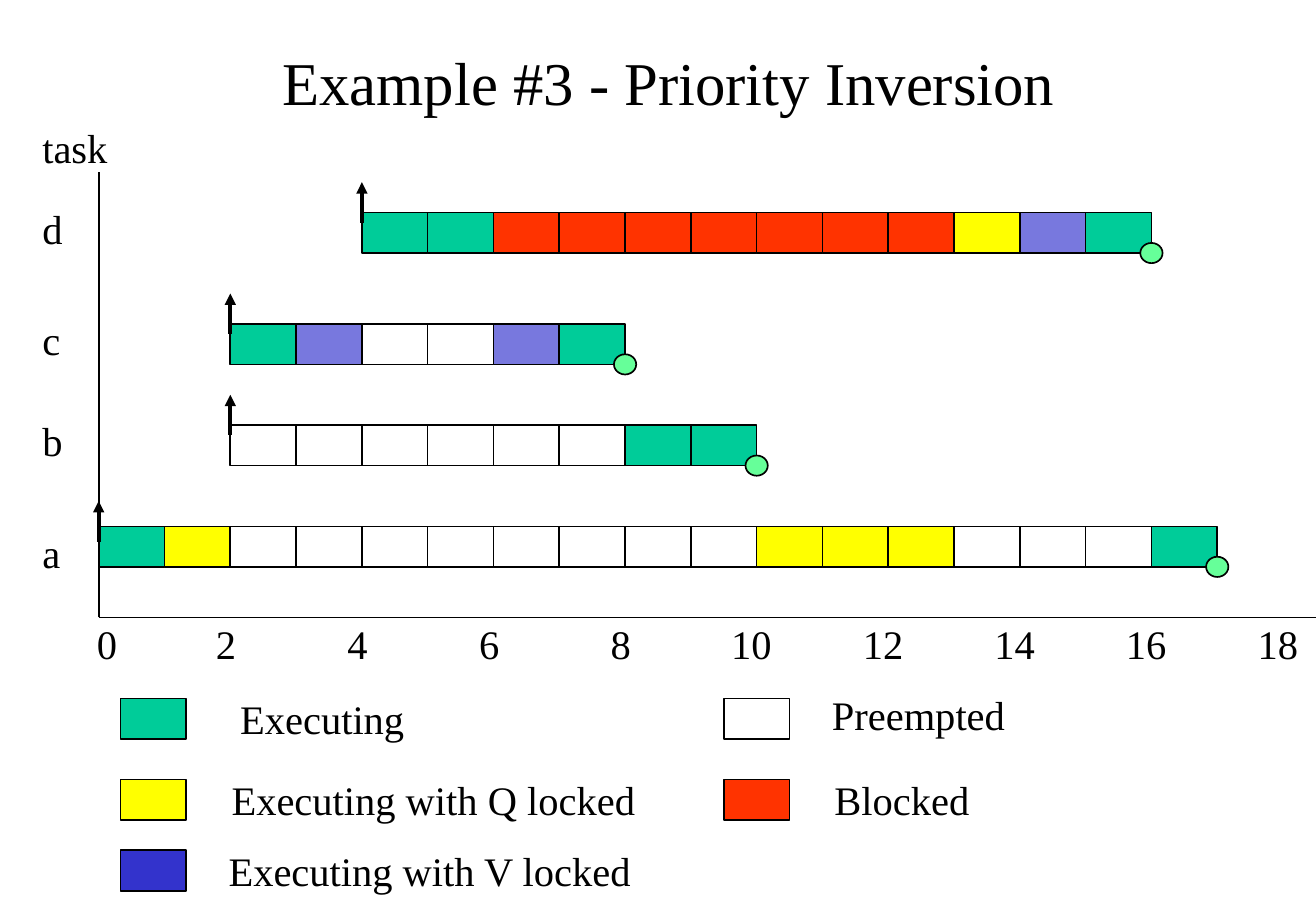
import pptx
import pptx.dml.color
import pptx.enum.shapes
import pptx.enum.text
import pptx.oxml.ns
import pptx.util
from lxml import etree

PX = 3810
SLIDE_W, SLIDE_H = 2600, 1800
SLOT_W, SLOT_H = 130, 80
LABEL_H = 120
BLACK = "000000"
DONE = "66FF99"
STATES = {
    "E": "00CC99",
    "Q": "FFFF00",
    "V": "7878DE",
    "B": "FF3300",
    "P": None,
}
# task, row top, release time, states, label offset, label width, arrow offset
TASKS = [
    ("d", 420, 4, "EEBBBBBBBQVE", -29, 92, -60),
    ("c", 640, 2, "EVPPVE", -29, 88, -60),
    ("b", 840, 2, "PPPPPPEE", -29, 92, -60),
    ("a", 1040, 0, "EQPPPPPPPPQQQPPPE", -8, 88, -50),
]
# name, colour, swatch left, swatch top, label offset x, label offset y, label width
LEGEND = [
    ("Executing", "00CC99", 238, 1380, 213, -20, 380),
    ("Executing with Q locked", "FFFF00", 238, 1540, 196, -20, 850),
    ("Executing with V locked", "3333CC", 238, 1680, 190, -20, 850),
    ("Preempted", None, 1430, 1380, 190, -29, 400),
    ("Blocked", "FF3300", 1430, 1540, 195, -20, 320),
]


def px(length):
    """Turn px into EMU."""
    return pptx.util.Emu(round(length * PX))


def colour(value):
    """Turn a hex string into a colour."""
    return pptx.dml.color.RGBColor.from_string(value)


def add_text(slide, text, left, top, width, height, size=24):
    """Add a one-line text box and return it."""
    box = slide.shapes.add_textbox(px(left), px(top), px(width), px(height))
    frame = box.text_frame
    frame.text = text
    frame.word_wrap = False
    frame.auto_size = pptx.enum.text.MSO_AUTO_SIZE.SHAPE_TO_FIT_TEXT
    font = frame.paragraphs[0].runs[0].font
    font.name = "Times New Roman"
    font.size = pptx.util.Pt(size)
    font.color.rgb = colour(BLACK)
    return box


def add_block(slide, kind, left, top, width, height, fill):
    """Add an outlined preset shape, unfilled when fill is None."""
    block = slide.shapes.add_shape(kind, px(left), px(top), px(width), px(height))
    block.shadow.inherit = False
    block.line.color.rgb = colour(BLACK)
    block.line.width = pptx.util.Pt(1)
    if fill is None:
        block.fill.background()
    else:
        block.fill.solid()
        block.fill.fore_color.rgb = colour(fill)


def add_slot(slide, left, top, fill):
    """Add the rectangle of one time unit."""
    rectangle = pptx.enum.shapes.MSO_SHAPE.RECTANGLE
    add_block(slide, rectangle, left, top, SLOT_W, SLOT_H, fill)


def add_line(slide, x1, y1, x2, y2, weight=1, arrow=False):
    """Add a straight line, with an arrowhead at its start if asked."""
    line = slide.shapes.add_connector(
        pptx.enum.shapes.MSO_CONNECTOR.STRAIGHT, px(x1), px(y1), px(x2), px(y2))
    line.line.color.rgb = colour(BLACK)
    line.line.width = pptx.util.Pt(weight)
    properties = line._element.spPr
    if arrow:
        outline = line.line._get_or_add_ln()
        etree.SubElement(outline, pptx.oxml.ns.qn("a:headEnd"), type="triangle")
    etree.SubElement(properties, pptx.oxml.ns.qn("a:effectLst"))


def add_title(slide, left, top, width, height):
    """Add the centred slide title."""
    title = add_text(slide, "Example #3 - Priority Inversion",
                     left, top, width, height, 36)
    frame = title.text_frame
    frame.auto_size = pptx.enum.text.MSO_AUTO_SIZE.NONE
    frame.word_wrap = True
    frame.vertical_anchor = pptx.enum.text.MSO_ANCHOR.MIDDLE
    frame.paragraphs[0].alignment = pptx.enum.text.PP_ALIGN.CENTER


def add_axes(slide, left, top, width, height):
    """Add both axes, the axis title and the time labels."""
    bottom = top + height
    add_line(slide, left, top, left, bottom)
    add_line(slide, left, bottom, left + width, bottom)
    add_text(slide, "task", left - 135, top - 109, 184, LABEL_H)
    for time in range(0, 19, 2):
        nudge = -27 if time == 0 else -52 if time < 10 else -74
        label_w = 92 if time < 10 else 134
        add_text(slide, str(time), left + time * SLOT_W + nudge, bottom - 8,
                 label_w, LABEL_H)


def add_task(slide, left, top, task, release, states, label_dy, label_w, arrow_dy):
    """Add one task row with its label, slots, release arrow and finish mark."""
    start = left + release * SLOT_W
    finish = start + len(states) * SLOT_W
    add_text(slide, task, left - 135, top + label_dy, label_w, LABEL_H)
    for index, state in enumerate(states):
        add_slot(slide, start + index * SLOT_W, top, STATES[state])
    add_line(slide, start, top + arrow_dy, start, top + arrow_dy + 80, 2.25, True)
    add_block(slide, pptx.enum.shapes.MSO_SHAPE.OVAL,
              finish - 22, top + SLOT_H - 20, 44, 40, DONE)


def add_legend_entry(slide, left, top, name, fill, label_dx, label_dy, label_w):
    """Add one legend swatch with its label."""
    add_slot(slide, left, top, fill)
    add_text(slide, name, left + label_dx, top + label_dy, label_w, LABEL_H)


def main():
    """Build and save the slide."""
    deck = pptx.Presentation()
    deck.slide_width, deck.slide_height = px(SLIDE_W), px(SLIDE_H)
    slide = deck.slides.add_slide(deck.slide_layouts[6])
    axis_left = 195
    add_title(slide, 217, 60, 2208, 200)
    add_axes(slide, axis_left, 340, SLIDE_W - axis_left, 880)
    for task, top, *details in TASKS:
        add_task(slide, axis_left, top, task, *details)
    for name, fill, left, top, *label in LEGEND:
        add_legend_entry(slide, left, top, name, fill, *label)
    deck.save("out.pptx")


if __name__ == "__main__":
    main()
